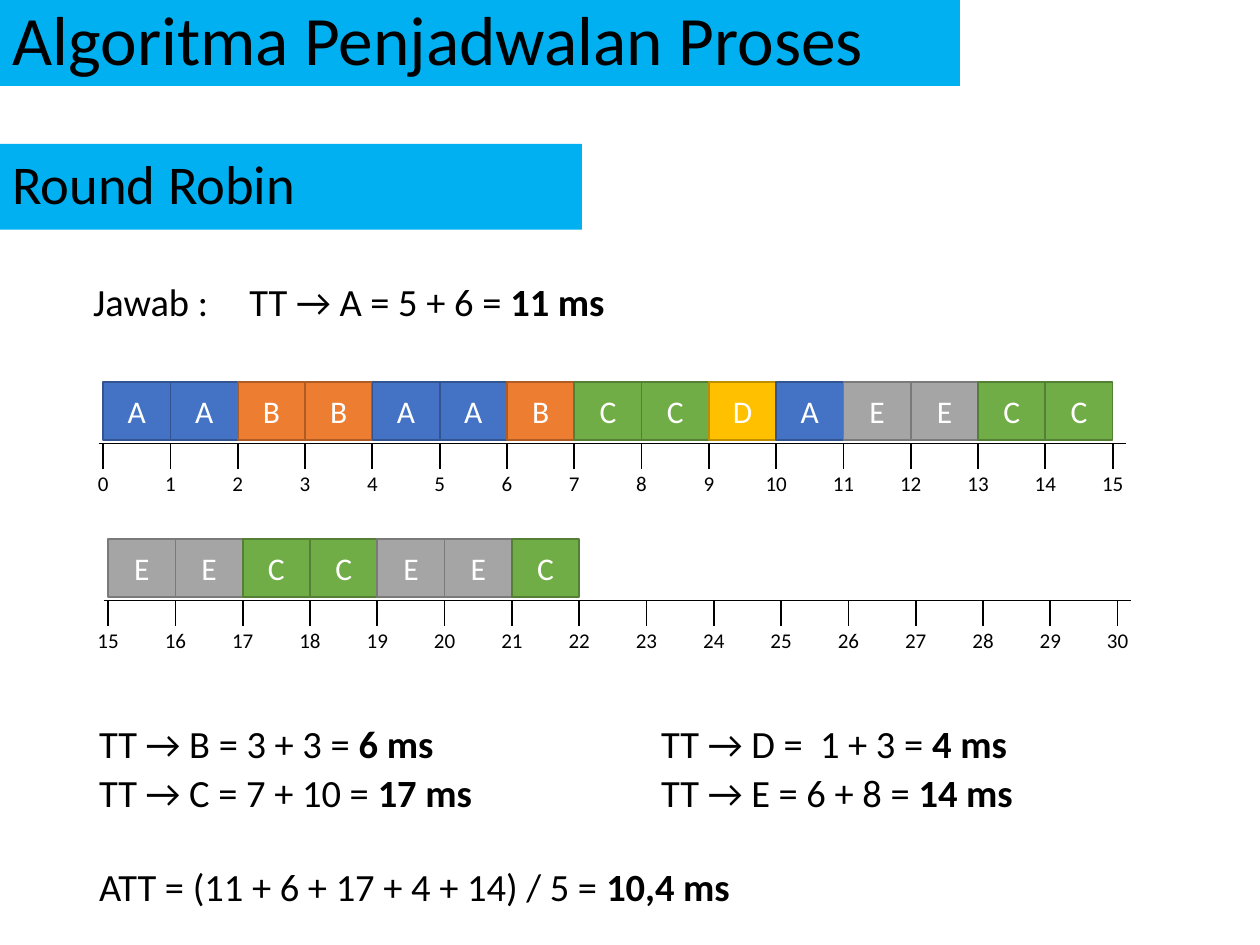
from lxml.etree import SubElement
from pptx import Presentation
from pptx.dml.color import RGBColor
from pptx.enum.shapes import MSO_CONNECTOR as Connector, MSO_SHAPE as Shape
from pptx.enum.text import MSO_ANCHOR as Anchor, MSO_AUTO_SIZE as AutoSize, PP_ALIGN as Align
from pptx.oxml.ns import qn
from pptx.util import Cm, Pt

BLACK = RGBColor(0x00, 0x00, 0x00)
WHITE = RGBColor(0xFF, 0xFF, 0xFF)
BANNER_BLUE = RGBColor(0x00, 0xB0, 0xF0)
# Fill and border of each process
PROCESS_COLORS = {
    "A": (RGBColor(0x44, 0x72, 0xC4), RGBColor(0x32, 0x54, 0x91)),
    "B": (RGBColor(0xED, 0x7D, 0x31), RGBColor(0xAF, 0x5C, 0x24)),
    "C": (RGBColor(0x70, 0xAD, 0x47), RGBColor(0x53, 0x80, 0x35)),
    "D": (RGBColor(0xFF, 0xC0, 0x00), RGBColor(0xBD, 0x8E, 0x00)),
    "E": (RGBColor(0xA5, 0xA5, 0xA5), RGBColor(0x7A, 0x7A, 0x7A)),
}
FONT = "Calibri"
SLOTS = 15
TIMELINE_WIDTH = 20.35


def write_text(shape, text, bold_text="", size=22, color=BLACK, align=Align.LEFT,
               anchor=Anchor.TOP, spacing=None, auto_size=AutoSize.NONE):
    """Write one paragraph, with an optional bold ending, into a shape."""
    frame = shape.text_frame
    frame.word_wrap = True
    frame.auto_size = auto_size
    frame.vertical_anchor = anchor
    para = frame.paragraphs[0]
    para.alignment = align
    para.line_spacing = spacing
    for part, bold in ((text, False), (bold_text, True)):
        if part:
            span = para.add_run()
            span.text = part
            span.font.name = FONT
            span.font.size = Pt(size)
            span.font.bold = bold
            span.font.color.rgb = color


def add_text(page, left, top, width, height, text, **style):
    """Add a text box that grows with its text."""
    box = page.shapes.add_textbox(Cm(left), Cm(top), Cm(width), Cm(height))
    write_text(box, text, auto_size=AutoSize.SHAPE_TO_FIT_TEXT, **style)


def add_block(page, left, top, width, height, fill):
    """Add a flat rectangle without a border and return it."""
    block = page.shapes.add_shape(Shape.RECTANGLE, Cm(left), Cm(top), Cm(width), Cm(height))
    block.shadow.inherit = False
    block.fill.solid()
    block.fill.fore_color.rgb = fill
    block.line.fill.background()
    return block


def add_line(page, x1, y1, x2, y2, weight):
    """Add a plain black line without a shadow."""
    line = page.shapes.add_connector(Connector.STRAIGHT, Cm(x1), Cm(y1), Cm(x2), Cm(y2))
    line.line.color.rgb = BLACK
    line.line.width = Pt(weight)
    SubElement(line._element.spPr, qn("a:effectLst"))


def add_banners(page, left, top):
    """Place the title and the subtitle bar below it."""
    title = page.shapes.title
    title.left, title.top, title.width, title.height = Cm(left), Cm(top), Cm(19.35), Cm(1.73)
    title.fill.solid()
    title.fill.fore_color.rgb = BANNER_BLUE
    subtitle = add_block(page, left, top + 2.9, 11.73, 1.73, BANNER_BLUE)
    for banner, text, size in ((title, "Algoritma Penjadwalan Proses", 39.6),
                               (subtitle, "Round Robin", 31.2)):
        write_text(banner, text, size=size, anchor=Anchor.MIDDLE, spacing=0.9)


def add_timeline(page, left, top, width, processes, start):
    """Place a Gantt row: axis, ticks, time labels and process blocks."""
    step = width / SLOTS
    axis = top + 1.24
    add_line(page, left - 0.09, axis, left + width + 0.26, axis, 0.5)
    for slot in range(SLOTS + 1):
        x = left + slot * step
        add_line(page, x, axis, x, axis + 0.51, 1)
        add_text(page, x - 0.5, top + 1.66, 1, 0.76, str(start + slot),
                 size=12, align=Align.CENTER)
    for slot, process in enumerate(processes):
        fill, border = PROCESS_COLORS[process]
        block = add_block(page, left + slot * step, top, step, 1.17, fill)
        block.line.color.rgb = border
        block.line.width = Pt(1)
        write_text(block, process, size=18, color=WHITE, align=Align.CENTER,
                   anchor=Anchor.MIDDLE)


def add_answers(page, left, top):
    """Place the turnaround times and their average around the timelines."""
    answers = [
        (0, 0, 5.03, "Jawab :", ""),
        (3.15, 0, 11.3, "TT → A = 5 + 6 = ", "11 ms"),
        (0.12, 8.91, 9.83, "TT → B = 3 + 3 = ", "6 ms"),
        (0.12, 9.88, 9.45, "TT → C = 7 + 10 = ", "17 ms"),
        (11.45, 8.91, 10.59, "TT → D =  1 + 3 = ", "4 ms"),
        (11.45, 9.88, 10.59, "TT → E = 6 + 8 = ", "14 ms"),
        (0.12, 11.78, 14.83, "ATT = (11 + 6 + 17 + 4 + 14) / 5 = ", "10,4 ms"),
    ]
    for x, y, width, text, result in answers:
        add_text(page, left + x, top + y, width, 1.19, text, bold_text=result,
                 align=Align.JUSTIFY)


def build_deck():
    """Build the one-slide deck and save it."""
    deck = Presentation()
    deck.slide_width, deck.slide_height = Cm(25.4), Cm(19.05)
    page = deck.slides.add_slide(deck.slide_layouts[5])
    add_banners(page, 0, 0)
    add_timeline(page, 2.08, 7.7, TIMELINE_WIDTH, "AABBAABCCDAEECC", 0)
    add_timeline(page, 2.18, 10.87, TIMELINE_WIDTH, "EECCEEC", 15)
    add_answers(page, 1.63, 5.49)
    deck.save("out.pptx")


build_deck()
